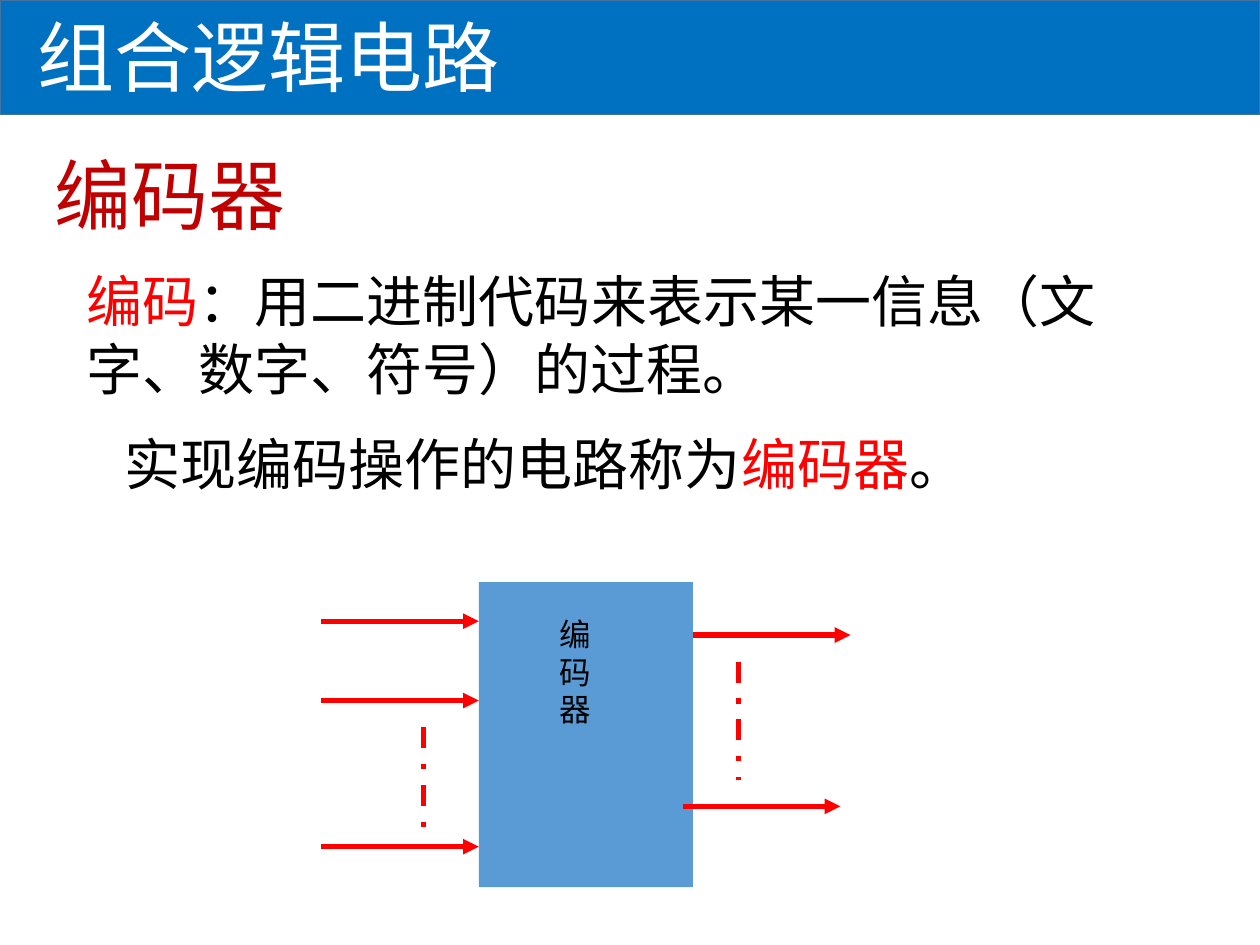
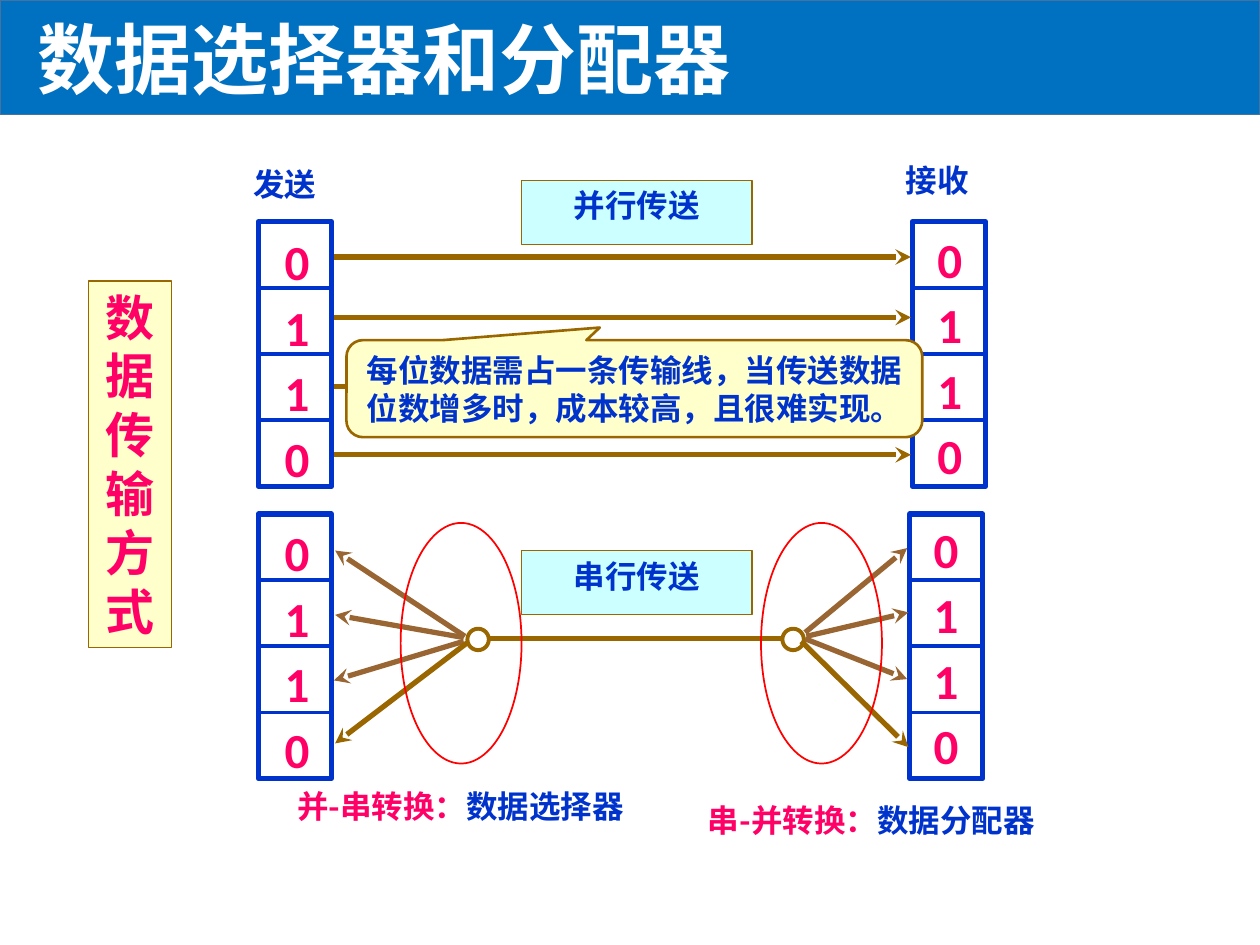
import lxml.etree
import pptx
import pptx.dml.color
import pptx.enum.dml
import pptx.enum.shapes
import pptx.enum.text
import pptx.oxml.ns
import pptx.util

Inches, Pt = pptx.util.Inches, pptx.util.Pt
RGB = pptx.dml.color.RGBColor.from_string
qn = pptx.oxml.ns.qn
SHAPE = pptx.enum.shapes.MSO_SHAPE
ALIGN = pptx.enum.text.PP_ALIGN
ANCHOR = pptx.enum.text.MSO_ANCHOR
DASH_DOT = pptx.enum.dml.MSO_LINE.DASH_DOT

C = {"band": "0070C0", "band_edge": "43739E", "white": "FFFFFF", "black": "000000",
     "heading": "C00000", "red": "FF0000", "block": "5B9BD5", "blue": "0033CC",
     "pink": "FF0066", "gold": "996600", "brown": "996633", "cream": "FFFFCC",
     "cyan": "CCFFFF"}
LATIN, HAN, HAN_TITLE = "Calibri", "Noto Sans CJK SC", "Noto Sans CJK JP"


def box(s, kind, at, paras=(), size=18, font=LATIN, bold=False, fill=None, line=None,
        width=1, align=ALIGN.LEFT, anchor=ANCHOR.TOP, inset=(0.1, 0.05)):
    """Add a preset shape, a text box (kind None) or fill the title (kind "title").

    Each paragraph in paras is a list of (text, colour name) runs.
    """
    x, y, w, h = [Inches(v) for v in at]
    if kind == "title":
        sp = s.shapes.title
        sp.left, sp.top, sp.width, sp.height = x, y, w, h
    elif kind is None:
        sp = s.shapes.add_textbox(x, y, w, h)
    else:
        sp = s.shapes.add_shape(kind, x, y, w, h)
        sp.shadow.inherit = False
        if fill:
            sp.fill.solid()
            sp.fill.fore_color.rgb = RGB(C[fill])
        else:
            sp.fill.background()
        if line:
            sp.line.color.rgb = RGB(C[line])
            sp.line.width = Pt(width)
        else:
            sp.line.fill.background()
    tf = sp.text_frame
    tf.word_wrap = True
    tf.auto_size = pptx.enum.text.MSO_AUTO_SIZE.NONE
    tf.vertical_anchor = anchor
    tf.margin_left = tf.margin_right = Inches(inset[0])
    tf.margin_top = tf.margin_bottom = Inches(inset[1])
    for i, runs in enumerate(paras):
        p = tf.add_paragraph() if i else tf.paragraphs[0]
        p.alignment = align
        p.line_spacing = Pt(round(size * 1.2, 1))
        for text, color in runs:
            r = p.add_run()
            r.text = text
            r.font.size = Pt(size)
            r.font.bold = bold
            r.font.color.rgb = RGB(C[color])
            r.font.name = font
            lxml.etree.SubElement(r._r.get_or_add_rPr(), qn("a:ea")).set("typeface", font)
    return sp


def connect(s, start, end, color, width=3, head=None, dash=None):
    """Draw a straight line; head names the arrowhead at its end."""
    c = s.shapes.add_connector(pptx.enum.shapes.MSO_CONNECTOR.STRAIGHT,
                               *[Inches(v) for v in (*start, *end)])
    c.line.color.rgb = RGB(C[color])
    c.line.width = Pt(width)
    if dash:
        c.line.dash_style = dash
    spPr = c._element.spPr
    if head:
        lxml.etree.SubElement(spPr.find(qn("a:ln")), qn("a:tailEnd")).set("type", head)
    lxml.etree.SubElement(spPr, qn("a:effectLst"))


prs = pptx.Presentation()
prs.slide_width, prs.slide_height = Inches(10), Inches(7.5)
layout = prs.slide_layouts[5]

# Slide 1: encoder
s = prs.slides.add_slide(layout)

# The band belongs to the layout, so both slides show it
band = box(s, SHAPE.RECTANGLE, (0, 0, 10, 0.91), fill="band", line="band_edge")
layout.shapes.element.insert(2, band._element)

box(s, None, (0.2, 0.06, 8.82, 0.77), [[("组合逻辑电路", "white")]], 44, HAN_TITLE,
    anchor=ANCHOR.MIDDLE)
box(s, "title", (0.33, 1.01, 8.62, 1.05), [[("编码器", "heading")]], 44, "DejaVu Sans",
    anchor=ANCHOR.MIDDLE)
definition = box(s, None, (0.59, 2.07, 8.43, 1.97), [
    [("编码", "red"), ("：用二进制代码来表示某一信息（文字、数字、符号）的过程。", "black")],
    [("实现编码操作的电路称为", "black"), ("编码器", "red"), ("。", "black")]], 32)
p = definition.text_frame.paragraphs[1]
p.space_before = Pt(16)
p._p.get_or_add_pPr().set("indent", str(Inches(0.3)))

box(s, SHAPE.RECTANGLE, (3.8, 4.62, 1.7, 2.42), fill="block")
box(s, None, (4.34, 4.83, 0.59, 1.5), [[(ch, "black")] for ch in "编码器"])
for x, y in [(2.55, 4.93), (2.55, 5.56), (2.55, 6.72), (5.5, 5.04), (5.42, 6.4)]:
    connect(s, (x, y), (x + 1.25, y), "red", head="triangle")
for x, top, bottom in [(3.36, 5.77, 6.61), (5.86, 5.25, 6.19)]:
    connect(s, (x, top), (x, bottom), "red", dash=DASH_DOT)

# Slide 2: data selector and distributor
s = prs.slides.add_slide(layout)
box(s, "title", (0.2, -0.07, 8.62, 1.05), [[("数据选择器和分配器", "white")]], 44, HAN, True,
    anchor=ANCHOR.MIDDLE)
box(s, SHAPE.RECTANGLE, (0.7, 2.23, 0.66, 2.91), [[(ch, "pink")] for ch in "数据传输方式"],
    28, HAN, True, "cream", "gold", 0.75, ALIGN.CENTER)

# Four-bit registers: left, top, offset of the first digit
CELL_W, CELL_H = 0.58, 0.525
for x, y, dx, dy in [(2.05, 1.76, 0.21, 0.08), (7.24, 1.76, 0.2, 0.06),
                     (2.05, 4.08, 0.21, 0.07), (7.22, 4.08, 0.19, 0.04)]:
    box(s, SHAPE.RECTANGLE, (x, y, CELL_W, 4 * CELL_H), line="blue", width=3)
    for i, bit in enumerate("0110"):
        if i:
            connect(s, (x, y + i * CELL_H), (x + CELL_W, y + i * CELL_H), "blue", 2.25)
        box(s, None, (x + dx, y + dy + i * 0.52, 0.25, 0.47), [[(bit, "pink")]], 28,
            bold=True, inset=(0, 0))

for name, x, y in [("发送", 2.01, 1.31), ("接收", 7.19, 1.28)]:
    box(s, None, (x, y, 0.67, 0.4), [[(name, "blue")]], bold=True, inset=(0, 0))
for y in (2.04, 2.52, 3.07, 3.61):
    connect(s, (2.65, y), (7.23, y), "gold", head="stealth")
for name, y in [("并行传送", 1.43), ("串行传送", 4.37)]:
    box(s, SHAPE.RECTANGLE, (4.14, y, 1.83, 0.51), [[(name, "blue")]], 18, HAN, True,
        "cyan", "gold", 0.75, ALIGN.CENTER)

# Serial line between the two switches, each with a fan of contacts
connect(s, (3.88, 5.07), (6.21, 5.07), "gold")
for x in (3.71, 6.21):
    box(s, SHAPE.OVAL, (x, 4.99, 0.17, 0.17), line="gold", width=2.25)
for start, end, color in [
        ((3.69, 5.05), (2.66, 4.37), "brown"), ((6.39, 5.02), (7.2, 4.35), "brown"),
        ((3.68, 5.06), (2.66, 4.88), "brown"), ((6.4, 5.05), (7.21, 4.86), "brown"),
        ((3.68, 5.09), (2.65, 5.4), "brown"), ((6.39, 5.07), (7.2, 5.39), "brown"),
        ((3.71, 5.1), (2.66, 5.9), "gold"), ((6.36, 5.09), (7.21, 5.93), "gold")]:
    connect(s, start, end, color, head="stealth")
for x in (3.18, 6.04):
    box(s, SHAPE.OVAL, (x, 4.15, 0.96, 1.91), line="red")
for x, y, w, conversion, device in [(2.26, 6.2, 4.02, "并-串转换：", "数据选择器"),
                                    (5.52, 6.31, 4.39, "串-并转换：", "数据分配器")]:
    box(s, None, (x, y, w, 0.5), [[(conversion, "pink"), (device, "blue")]], 18, HAN, True)

callout = box(s, SHAPE.ROUNDED_RECTANGULAR_CALLOUT, (2.75, 2.7, 4.57, 0.77),
              [[("每位数据需占一条传输线，当传送数据位数增多时，成本较高，且很难实现。", "blue")]],
              18, LATIN, True, "cream", "gold", 1.5, ALIGN.CENTER, ANCHOR.MIDDLE)
for i, value in enumerate((-0.06, -0.63, 0.17)):
    callout.adjustments[i] = value

prs.save("out.pptx")
